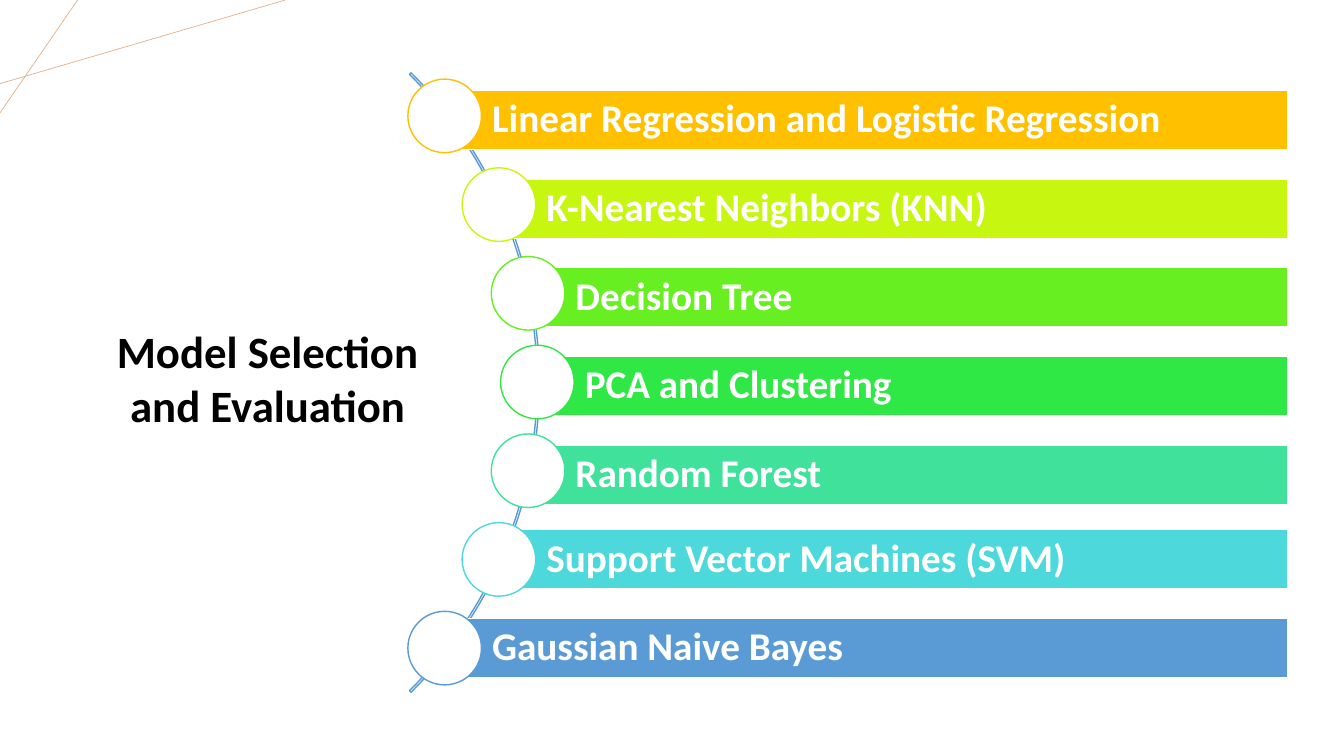
from math import sqrt

from lxml import etree
from pptx import Presentation
from pptx import util as u
from pptx.dml.color import RGBColor
from pptx.enum import shapes, text
from pptx.oxml.ns import qn

WHITE = RGBColor(0xFF, 0xFF, 0xFF)
BLACK = RGBColor(0x00, 0x00, 0x00)
BLUE = RGBColor(0x5B, 0x9B, 0xD5)
PEACH = RGBColor(0xE2, 0xB1, 0x8D)

MODELS = [
    ("Linear Regression and Logistic Regression", RGBColor(0xFF, 0xC0, 0x00)),
    ("K-Nearest Neighbors (KNN)", RGBColor(0xC7, 0xF7, 0x11)),
    ("Decision Tree", RGBColor(0x67, 0xEF, 0x21)),
    ("PCA and Clustering", RGBColor(0x30, 0xE8, 0x45)),
    ("Random Forest", RGBColor(0x3F, 0xE1, 0x9B)),
    ("Support Vector Machines (SVM)", RGBColor(0x4D, 0xD8, 0xDB)),
    ("Gaussian Naive Bayes", BLUE),
]

deck = Presentation()
deck.slide_width, deck.slide_height = u.Inches(13.33), u.Inches(7.5)
slide = deck.slides.add_slide(deck.slide_layouts[6])


def add_part(kind, left, top, width, height, fill, line):
    part = slide.shapes.add_shape(kind, *map(u.Inches, (left, top, width, height)))
    part.shadow.inherit = False
    if fill is None:
        part.fill.background()
    else:
        part.fill.solid()
        part.fill.fore_color.rgb = fill
    part.line.color.rgb = line
    part.line.width = u.Pt(1)
    return part


def write(frame, words, size, color, align, settings):
    for name, value in settings.items():
        setattr(frame, name, value)
    paragraph = frame.paragraphs[0]
    paragraph.alignment = align
    run = paragraph.add_run()
    run.text = words
    run.font.color.rgb = color
    for name, value in {"name": "Calibri", "size": u.Pt(size), "bold": True}.items():
        setattr(run.font, name, value)
    return paragraph


for ends in [(0, 0.83, 2.83, 0), (0.77, 0, 0, 1.12)]:
    corner_line = slide.shapes.add_connector(
        shapes.MSO_CONNECTOR.STRAIGHT, *map(u.Inches, ends))
    corner_line.line.color.rgb = PEACH
    corner_line.line.width = u.Pt(0.5)
    etree.SubElement(corner_line._element.spPr, qn("a:effectLst"))

arc = add_part(shapes.MSO_SHAPE.BLOCK_ARC, -3.34, -0.55, 8.69, 8.69, None, BLUE)
for index, value in enumerate((189, 27, 0.0025)):
    arc.adjustments[index] = value

ROW_STEP = 0.88
MIDDLE_Y = 3.79
ORBIT_X, ORBIT_RADIUS = 1.08, 4.25
BAR_RIGHT, BAR_HEIGHT, DOT = 12.77, 0.59, 0.73
BAR_FORMAT = {
    "word_wrap": True,
    "vertical_anchor": text.MSO_ANCHOR.MIDDLE,
    "margin_left": u.Inches(0.47),
    "margin_right": u.Inches(0.08),
    "margin_top": u.Inches(0.08),
    "margin_bottom": u.Inches(0.08),
}

for row, (model, color) in enumerate(MODELS):
    rise = (row - len(MODELS) // 2) * ROW_STEP
    dot_x = ORBIT_X + sqrt(ORBIT_RADIUS ** 2 - rise ** 2)
    dot_y = MIDDLE_Y + rise
    bar_y = dot_y + (0.04 if row < 5 else 0)
    bar = add_part(shapes.MSO_SHAPE.RECTANGLE, dot_x, bar_y - BAR_HEIGHT / 2,
                   BAR_RIGHT - dot_x, BAR_HEIGHT, color, WHITE)
    label = write(bar.text_frame, model, 28, WHITE, text.PP_ALIGN.LEFT, BAR_FORMAT)
    label.line_spacing = 0.9
    add_part(shapes.MSO_SHAPE.OVAL, dot_x - DOT / 2, dot_y - DOT / 2,
             DOT, DOT, WHITE, color)

heading = slide.shapes.add_textbox(*map(u.Inches, (0.88, 3.16, 3.55, 1.18)))
write(heading.text_frame, "Model Selection and Evaluation", 32, BLACK,
      text.PP_ALIGN.CENTER,
      {"word_wrap": True, "auto_size": text.MSO_AUTO_SIZE.SHAPE_TO_FIT_TEXT})

deck.save("out.pptx")
